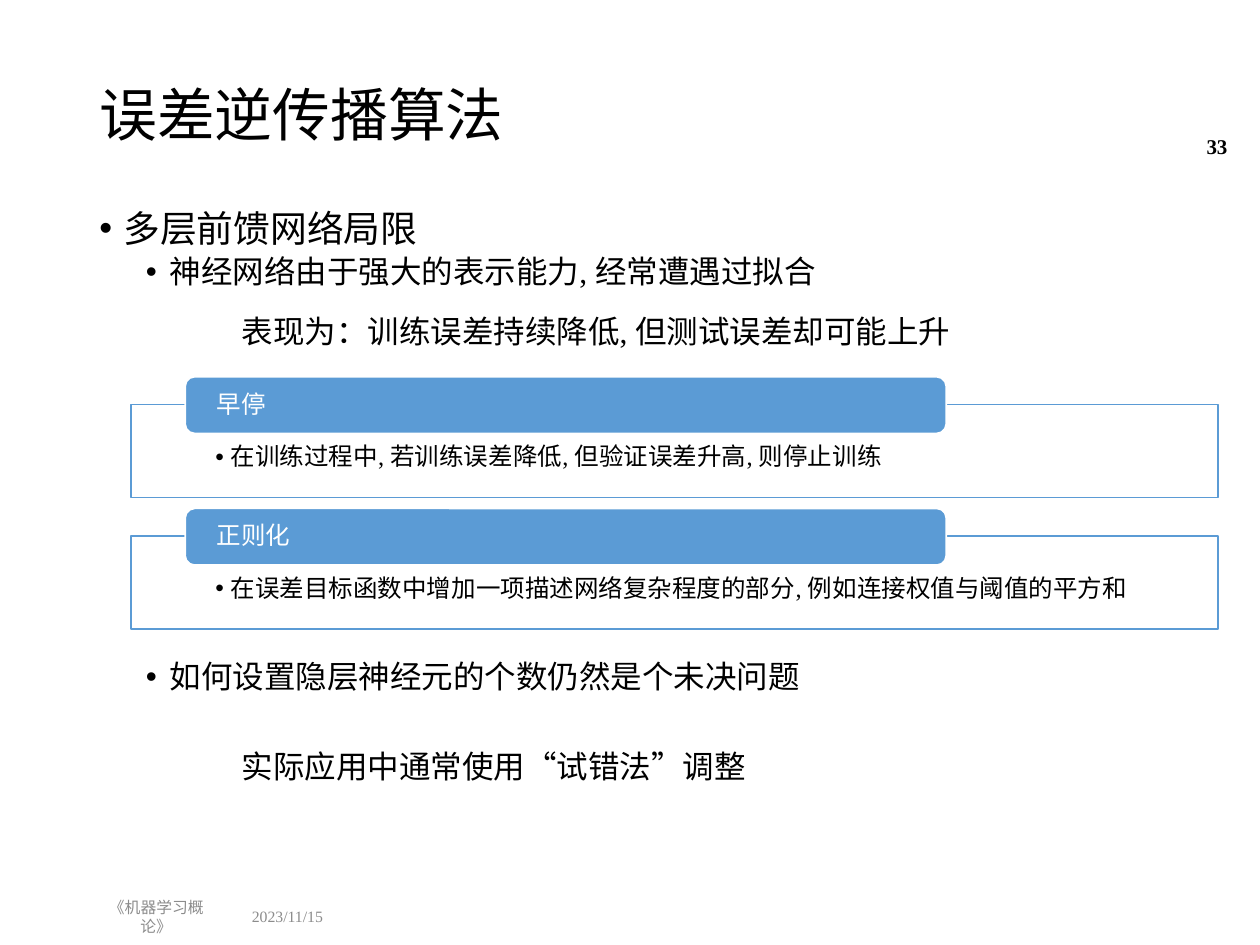
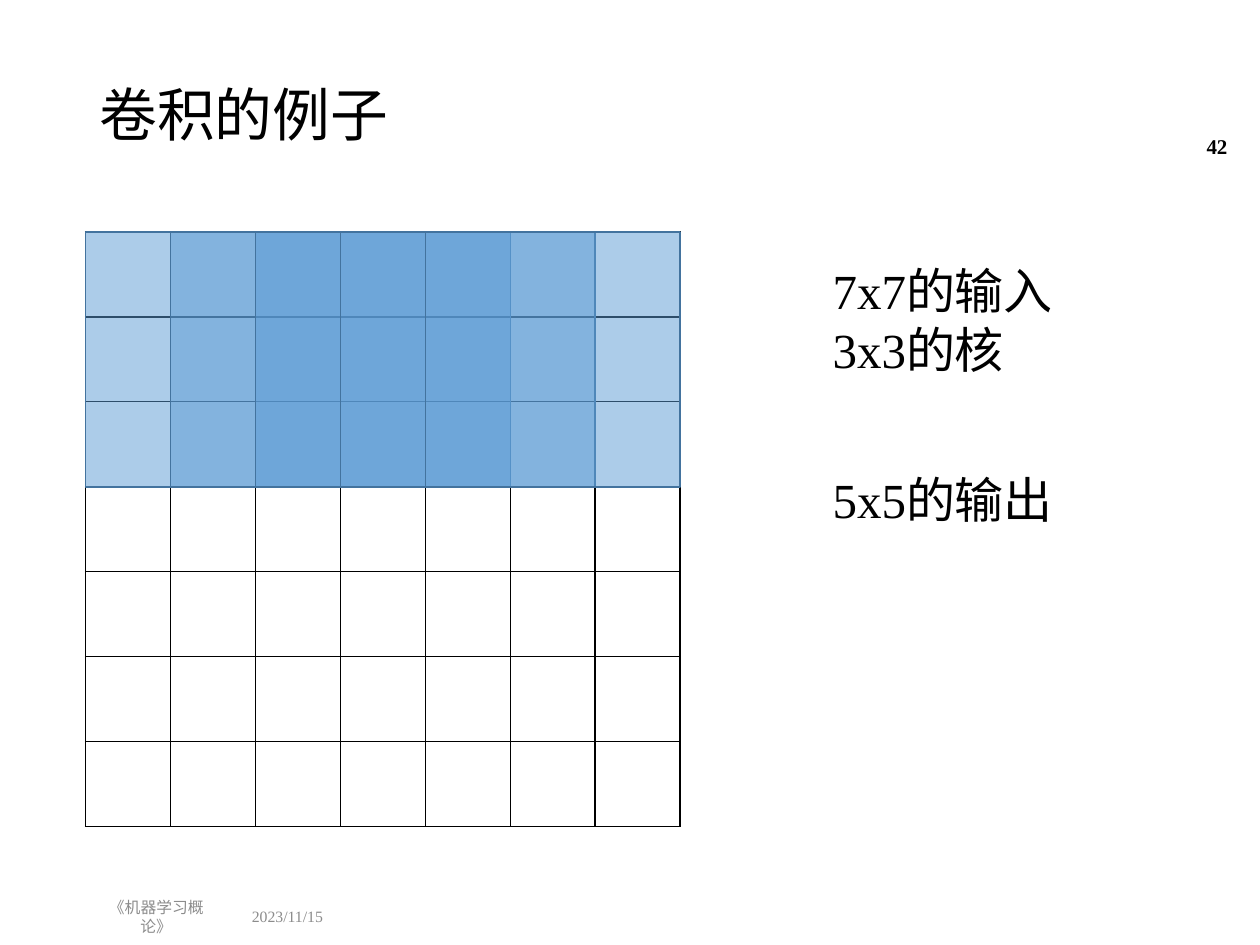
"""Build two lecture slides: overfitting remedies and a convolution example."""
from lxml import etree
from pptx import Presentation
from pptx.dml.color import RGBColor
from pptx.enum.shapes import MSO_SHAPE
from pptx.enum.text import MSO_ANCHOR, PP_ALIGN
from pptx.oxml.ns import qn
from pptx.util import Inches, Pt

RECT, ROUND = MSO_SHAPE.RECTANGLE, MSO_SHAPE.ROUNDED_RECTANGLE
TOP, MIDDLE = MSO_ANCHOR.TOP, MSO_ANCHOR.MIDDLE
LEFT, CENTER, RIGHT = PP_ALIGN.LEFT, PP_ALIGN.CENTER, PP_ALIGN.RIGHT
COLORS = {"ink": "000000", "paper": "FFFFFF", "muted": "8C8C8C",
          "accent": "5B9BD5", "edge": "43739E"}
FONT = "Times New Roman"
COLS, ROWS = 100, 75
INSETS = (1, 0.5, 1, 0.5)


def rgb(name):
    return RGBColor.from_string(COLORS[name])


class Deck:
    """Hold the style and the current slide, measured on a 100 by 75 grid."""

    def __init__(self):
        self.prs = Presentation()
        self.prs.slide_width, self.prs.slide_height = Inches(10), Inches(7.5)
        self.s = None

    def x(self, cols):
        return round(self.prs.slide_width * cols / COLS)

    def y(self, rows):
        return round(self.prs.slide_height * rows / ROWS)

    def place(self, box):
        left, top, width, height = box
        return self.x(left), self.y(top), self.x(width), self.y(height)

    def slide(self, title, number):
        self.s = self.prs.slides.add_slide(self.prs.slide_layouts[6])
        self.text((6.9, 4, 86.2, 10.7), [dict(text=title, size=33, spacing=0.9)], MIDDLE)
        self.text((19, 71.3, 9.1, 2.9), [dict(text="2023/11/15", size=9, color="muted")], MIDDLE)
        self.text((6.9, 71.3, 11, 2.9),
                  [dict(text="《机器学习概论》", size=9, color="muted", align=CENTER)], MIDDLE)
        self.text((91.5, 9.6, 6.9, 4),
                  [dict(text=number, size=12, bold=True, align=RIGHT)], MIDDLE)

    def paragraph(self, p, text, size, color="ink", bold=False, align=LEFT,
                  margin=0, hang=0, level=0, spacing=1.0, before=0, after=0):
        fmt = dict(alignment=align, level=level, line_spacing=spacing,
                   space_before=Pt(before), space_after=Pt(after))
        for name, value in fmt.items():
            setattr(p, name, value)
        pPr = p._p.get_or_add_pPr()
        pPr.set("marL", str(self.x(margin)))
        pPr.set("indent", str(-self.x(hang)))
        if hang:
            etree.SubElement(pPr, qn("a:buFont")).set("typeface", "Arial")
            etree.SubElement(pPr, qn("a:buChar")).set("char", "•")
        r = p.add_run()
        r.text = text
        for name, value in dict(name=FONT, size=Pt(size), bold=bold).items():
            setattr(r.font, name, value)
        r.font.color.rgb = rgb(color)

    def fill_text(self, tf, paragraphs, anchor, insets):
        left, top, right, bottom = insets
        fmt = dict(word_wrap=True, vertical_anchor=anchor,
                   margin_left=self.x(left), margin_top=self.y(top),
                   margin_right=self.x(right), margin_bottom=self.y(bottom))
        for name, value in fmt.items():
            setattr(tf, name, value)
        for i, fields in enumerate(paragraphs):
            self.paragraph(tf.add_paragraph() if i else tf.paragraphs[0], **fields)

    def text(self, box, paragraphs, anchor=TOP):
        sp = self.s.shapes.add_textbox(*self.place(box))
        self.fill_text(sp.text_frame, paragraphs, anchor, INSETS)

    def shape(self, kind, box, fill, line, opacity=100, paragraphs=(), anchor=TOP, insets=INSETS):
        sp = self.s.shapes.add_shape(kind, *self.place(box))
        sp.shadow.inherit = False
        sp.fill.solid()
        sp.fill.fore_color.rgb = rgb(fill)
        if opacity < 100:
            color = sp._element.spPr.find(qn("a:solidFill")).find(qn("a:srgbClr"))
            etree.SubElement(color, qn("a:alpha")).set("val", str(opacity * 1000))
        sp.line.color.rgb = rgb(line)
        sp.line.width = Pt(1)
        self.fill_text(sp.text_frame, paragraphs, anchor, insets)

    def remedy(self, row, name, detail):
        self.shape(RECT, (10.4, row + 2.2, 86.3, 7.4), "paper", "accent", 90,
                   [dict(text=detail, size=14, level=1, margin=1.2, hang=1.2, spacing=0.9)],
                   insets=(6.7, 3.2, 6.7, 1.1))
        self.shape(ROUND, (14.7, row, 60.4, 4.5), "accent", "paper",
                   paragraphs=[dict(text=name, size=14, color="paper", spacing=0.9, after=5)],
                   anchor=MIDDLE, insets=(2.3, 0, 2.3, 0))

    def border(self, cell):
        tcPr = cell._tc.get_or_add_tcPr()
        for side in ("a:lnL", "a:lnR", "a:lnT", "a:lnB"):
            ln = etree.SubElement(tcPr, qn(side), w=str(Pt(1)))
            solid = etree.SubElement(ln, qn("a:solidFill"))
            etree.SubElement(solid, qn("a:srgbClr")).set("val", COLORS["ink"])

    def grid_table(self, box, count):
        table = self.s.shapes.add_table(count, count, *self.place(box)).table
        table.first_row = table.horz_banding = False
        for cell in table.iter_cells():
            self.border(cell)
            cell.fill.background()


def overfitting(deck):
    deck.slide("误差逆传播算法", "33")
    bullet = dict(size=18, level=1, margin=5.6, hang=1.9, spacing=0.9)
    note = dict(size=18, level=1, margin=5)
    deck.text((6.9, 16.2, 86.2, 8), [
        dict(text="多层前馈网络局限", size=21, margin=1.9, hang=1.9, spacing=0.9),
        dict(text="神经网络由于强大的表示能力, 经常遭遇过拟合", before=3.8, **bullet)])
    deck.text((6.9, 52, 86.2, 4), [dict(text="如何设置隐层神经元的个数仍然是个未决问题", **bullet)])
    deck.text((13.2, 24.3, 66, 4),
              [dict(text="表现为：训练误差持续降低, 但测试误差却可能上升", **note)])
    deck.text((13.2, 58.8, 47.5, 4), [dict(text="实际应用中通常使用“试错法”调整", **note)])
    remedies = [("早停", "在训练过程中, 若训练误差降低, 但验证误差升高, 则停止训练"),
                ("正则化", "在误差目标函数中增加一项描述网络复杂程度的部分, 例如连接权值与阈值的平方和")]
    for i, (name, detail) in enumerate(remedies):
        deck.remedy(29.9 + 10.45 * i, name, detail)


def convolution(deck):
    deck.slide("卷积的例子", "42")
    left, top, side, inputs, kernel = 6.8, 18.4, 47.2, 7, 3
    step = side / inputs
    deck.grid_table((left, top, side, side), inputs)
    for i in range(inputs - kernel + 1):
        deck.shape(RECT, (left + i * step, top, kernel * step, kernel * step),
                   "accent", "edge", 50)
    deck.text((65.1, 20.2, 31.5, 10.4), [dict(text="7x7的输入", size=28), dict(text="3x3的核", size=28)])
    deck.text((65.1, 36.8, 31.5, 5.7), [dict(text="5x5的输出", size=28)])


def main():
    deck = Deck()
    overfitting(deck)
    convolution(deck)
    deck.prs.save("out.pptx")


if __name__ == "__main__":
    main()
